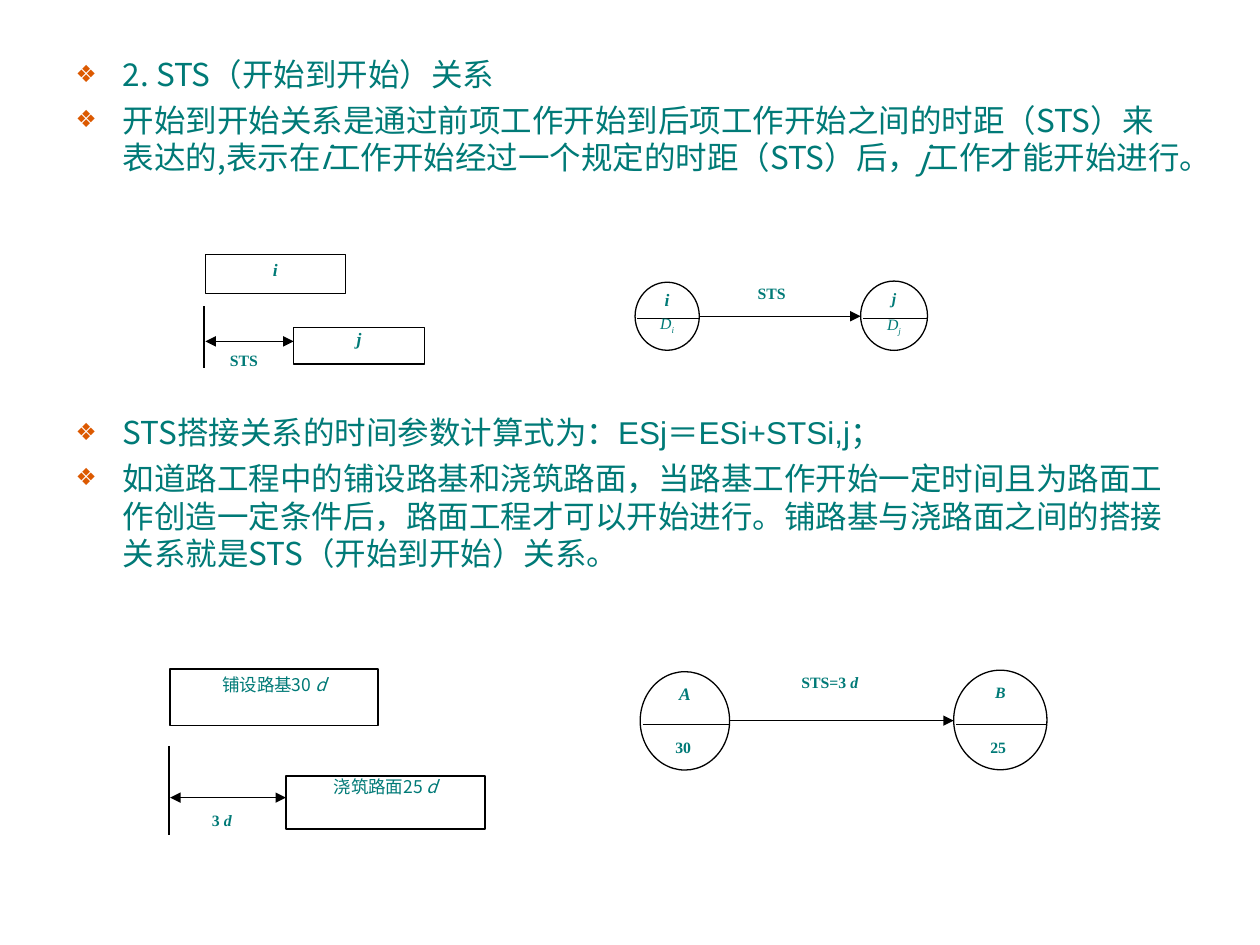
from lxml.etree import SubElement
from pptx import Presentation
from pptx.dml.color import RGBColor
from pptx.enum.shapes import MSO_CONNECTOR, MSO_SHAPE
from pptx.enum.text import MSO_ANCHOR, MSO_AUTO_SIZE, PP_ALIGN
from pptx.oxml.ns import qn
from pptx.util import Pt

COLORS = {"text": "007A77", "bullet": "DC5900", "line": "000000", "fill": "FFFFFF"}
SANS, SERIF, LATIN = "Noto Sans CJK SC", "Times New Roman", "Arial"


def color(name):
    return RGBColor.from_string(COLORS[name])


class SlideBuilder:
    def __init__(self, page):
        self.page = page

    def add_runs(self, para, runs, size, font):
        """Each run is (text, marks[, font]); marks: b bold, i italic, _ subscript."""
        for text, marks, *other_font in runs:
            span = para.add_run()
            span.text = text
            style = span.font
            style.size = Pt(size)
            style.name = other_font[0] if other_font else font
            style.bold = "b" in marks
            style.italic = "i" in marks
            style.color.rgb = color("text")
            properties = style._element
            SubElement(properties, qn("a:ea"), typeface=SANS)
            if "_" in marks:
                properties.set("baseline", "-25000")

    def set_frame(self, frame, insets):
        frame.word_wrap = True
        frame.auto_size = MSO_AUTO_SIZE.NONE
        frame.vertical_anchor = MSO_ANCHOR.TOP
        frame.margin_left, frame.margin_top, frame.margin_right, frame.margin_bottom = map(Pt, insets)

    def body(self, bounds, paragraphs):
        """Each paragraph is (space before, runs)."""
        box = self.page.placeholders[1]
        box.left, box.top, box.width, box.height = map(Pt, bounds)
        frame = box.text_frame
        self.set_frame(frame, (7.2, 5.6, 7.2, 3.6))
        for index, (space, runs) in enumerate(paragraphs):
            para = frame.add_paragraph() if index else frame.paragraphs[0]
            properties = para._p.get_or_add_pPr()
            properties.set("marL", str(Pt(27)))
            properties.set("indent", str(Pt(-27)))
            bullet_color = SubElement(properties, qn("a:buClr"))
            SubElement(bullet_color, qn("a:srgbClr"), val=COLORS["bullet"])
            SubElement(properties, qn("a:buSzPct"), val="75000")
            SubElement(properties, qn("a:buChar"), char="❖")
            para.line_spacing = Pt(21.55)
            para.space_before = Pt(space)
            para.alignment = PP_ALIGN.LEFT
            self.add_runs(para, runs, 18, SANS)

    def label(self, bounds, runs, top=0, align=PP_ALIGN.CENTER):
        box = self.page.shapes.add_textbox(*map(Pt, bounds))
        self.set_frame(box.text_frame, (0, top, 0, 0))
        para = box.text_frame.paragraphs[0]
        para.alignment = align
        self.add_runs(para, runs, 9, SERIF)

    def shape(self, kind, bounds, runs, insets, spacing, size=10, font=SERIF, filled=True):
        shape = self.page.shapes.add_shape(kind, *map(Pt, bounds))
        shape.shadow.inherit = False
        if filled:
            shape.fill.solid()
            shape.fill.fore_color.rgb = color("fill")
        else:
            shape.fill.background()
        shape.line.color.rgb = color("line")
        shape.line.width = Pt(0.75)
        self.set_frame(shape.text_frame, insets)
        para = shape.text_frame.paragraphs[0]
        para.alignment = PP_ALIGN.CENTER
        para.line_spacing = spacing
        self.add_runs(para, runs, size, font)

    def line(self, x1, y1, x2, y2, arrows=()):
        line = self.page.shapes.add_connector(MSO_CONNECTOR.STRAIGHT, *map(Pt, (x1, y1, x2, y2)))
        line.line.color.rgb = color("line")
        line.line.width = Pt(0.75)
        outline = line.line._get_or_add_ln()
        for end in arrows:
            SubElement(outline, qn(f"a:{end}"), type="triangle")
        SubElement(line._element.spPr, qn("a:effectLst"))

    def bar_diagram(self, bars, axis, arrow_y, label, font):
        """Two task bars, the start line of the first and the lag between starts."""
        for (bounds, runs), top in zip(bars, (3.6, 0.72)):
            self.shape(MSO_SHAPE.RECTANGLE, bounds, runs, (7.2, top, 7.2, 0.72), 0.96, font=font)
        x, top, bottom = axis
        self.line(x, top, x, bottom)
        first, second = (bounds[0] for bounds, _ in bars)
        self.line(first, arrow_y, second, arrow_y, ("headEnd", "tailEnd"))
        self.label(*label)

    def node_diagram(self, nodes, divider_y, arrow_y, label, duration_inset):
        """Two divided circles (name above, duration below) joined by an arrow."""
        for bounds, name, size, duration_bounds, duration in nodes:
            x, _, width, _ = bounds
            self.shape(MSO_SHAPE.OVAL, bounds, [(name, "bi")], (0, 0.72, 0, 0.72), 0.8,
                       size=size, filled=False)
            self.line(x + 1.4, divider_y, x + width - 0.2, divider_y)
            self.label(duration_bounds, duration, duration_inset, PP_ALIGN.JUSTIFY)
        start, end = nodes[0][0], nodes[1][0]
        self.line(start[0] + start[2], arrow_y, end[0], arrow_y, ("tailEnd",))
        self.label(*label)


def main():
    deck = Presentation()
    deck.slide_width, deck.slide_height = Pt(720), Pt(540)
    page = deck.slides.add_slide(deck.slide_layouts[1])
    title = page.shapes.title._element
    title.getparent().remove(title)
    builder = SlideBuilder(page)

    builder.body((36, 25.9, 648, 456.5), [
        (0, [("2. STS（开始到开始）关系", "")]),
        (4.5, [("开始到开始关系是通过前项工作开始到后项工作开始之间的时距（STS）来表达的,表示在", ""),
               ("i", "i"), ("工作开始经过一个规定的时距（STS）后，", ""),
               ("j", "i"), ("工作才能开始进行。", "")]),
        (135.6, [("STS搭接关系的时间参数计算式为：", ""), ("ESj＝ESi+STSi,j；", "", LATIN)]),
        (4.5, [("如道路工程中的铺设路基和浇筑路面，当路基工作开始一定时间且为路面工作创造一定条件后，"
                "路面工程才可以开始进行。铺路基与浇路面之间的搭接关系就是STS（开始到开始）关系。", "")]),
    ])

    builder.bar_diagram(
        [((117.4, 145.4, 79.9, 22.3), [("i", "bi")]),
         ((167.8, 187.2, 74.9, 20.9), [("j", "bi")])],
        (116.6, 175, 210.2), 195.1,
        ((115.9, 200.2, 46.8, 18.7), [("STS", "b")]), SERIF)
    builder.node_diagram(
        [((362.9, 161.3, 36.7, 38.9), "i", 10, (377.3, 179.3, 14.4, 20.2), [("D", "i"), ("i", "i_")]),
         ((491.8, 160.6, 38.2, 39.6), "j", 9, (506.9, 179.6, 14.4, 20.2), [("D", "i"), ("j", "i_")])],
        182.2, 180.7, ((417.6, 162, 46.8, 18.7), [("STS", "b")]), 0)

    builder.bar_diagram(
        [((97.2, 382.3, 118.8, 32.4), [("铺设路基30 ", ""), ("d", "i")]),
         ((163.4, 443.5, 113.8, 30.2), [("浇筑路面25 ", ""), ("d", "i")])],
        (96.5, 426.2, 477.4), 455.8,
        ((95.8, 463, 61.9, 27.4), [("3 ", "b"), ("d", "bi")]), SANS)
    builder.node_diagram(
        [((365.8, 383.8, 51.1, 56.2), "A", 10, (385.9, 410.4, 20.2, 28.8), [("30", "b")]),
         ((545, 383, 53.3, 56.9), "B", 9, (565.9, 410.4, 20.2, 28.8), [("25", "b")])],
        414, 411.8, ((441.4, 384.5, 65.5, 26.6), [("STS=3 ", "b"), ("d", "bi")]), 11.4)

    deck.save("out.pptx")


if __name__ == "__main__":
    main()
